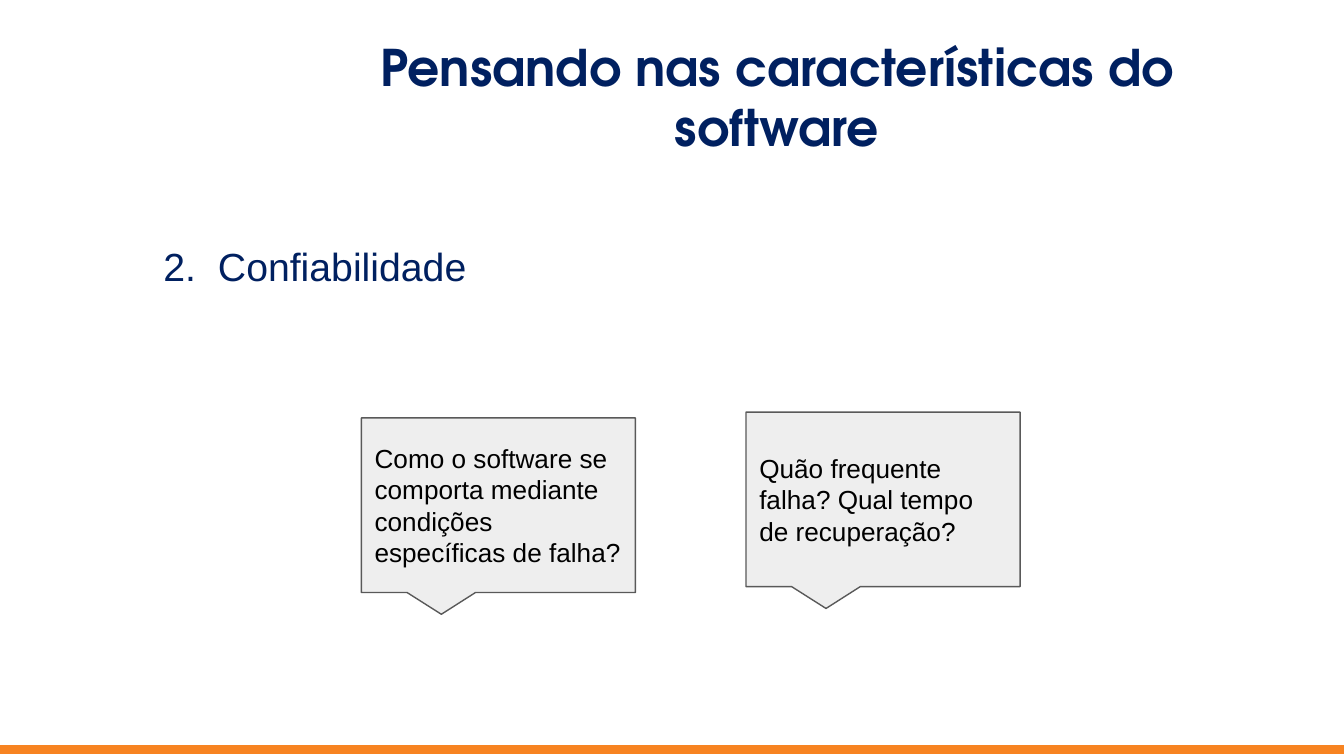
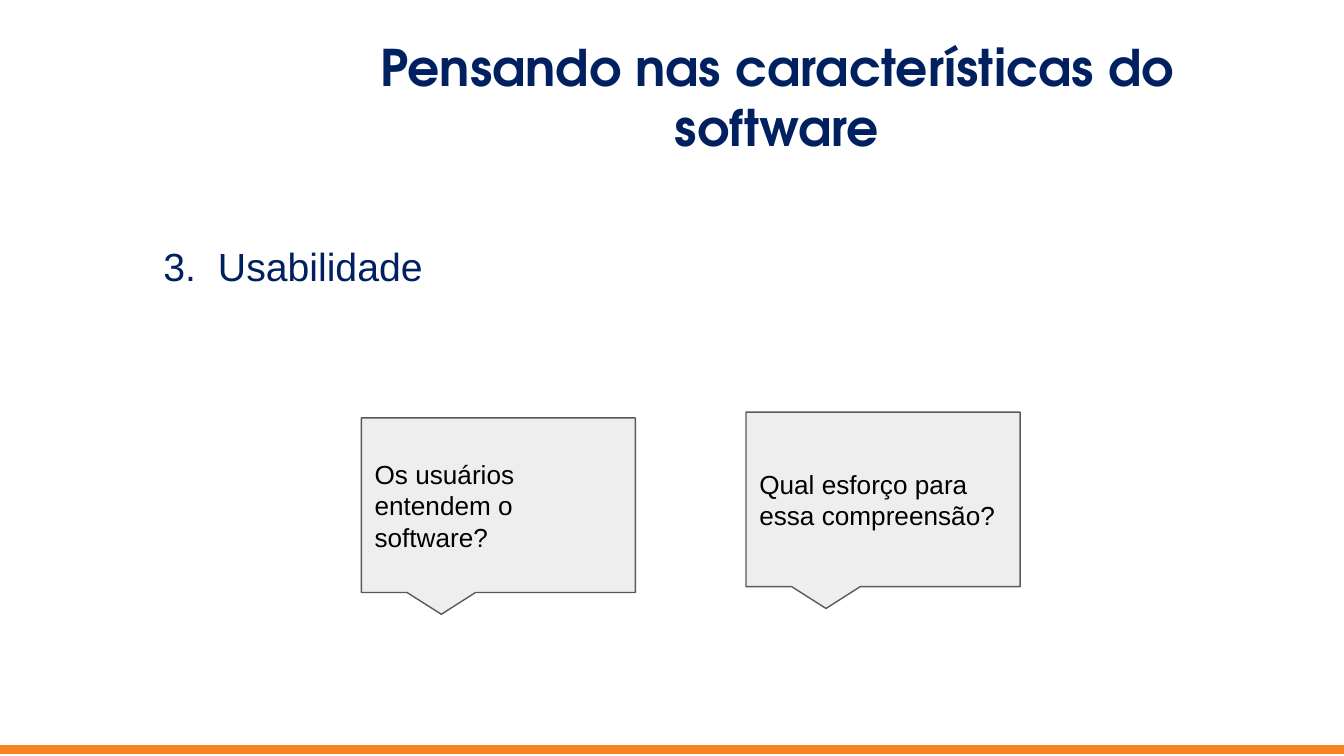
import pptx
import pptx.dml.color
import pptx.enum.shapes
import pptx.enum.text
import pptx.util

Cm = pptx.util.Cm
RGBColor = pptx.dml.color.RGBColor
ANCHOR = pptx.enum.text.MSO_ANCHOR
ALIGN = pptx.enum.text.PP_ALIGN
SHAPE = pptx.enum.shapes.MSO_SHAPE

WHITE = RGBColor(0xFF, 0xFF, 0xFF)
NAVY = RGBColor(0x00, 0x20, 0x60)
ORANGE = RGBColor(0xF7, 0x83, 0x21)
LIGHT_GRAY = RGBColor(0xEE, 0xEE, 0xEE)
DARK_GRAY = RGBColor(0x59, 0x59, 0x59)
BLACK = RGBColor(0x00, 0x00, 0x00)

SLIDE_WIDTH, SLIDE_HEIGHT = Cm(25.4), Cm(14.29)
INSET = Cm(0.25)
NUMBER_INDENT = Cm(1.03)

TITLE = "Pensando nas características do software"
TITLE_FONT = {"name": "TeX Gyre Adventor", "size": pptx.util.Pt(27), "bold": True}
TOPIC_FONT = {"name": "Arial", "size": pptx.util.Pt(21)}
QUESTION_FONT = {"name": "Arial", "size": pptx.util.Pt(14)}

CALLOUT_POSITIONS = [(Cm(6.83), Cm(7.9)), (Cm(14.1), Cm(7.79))]
CALLOUT_SIZE = (Cm(5.18), Cm(3.3))
CALLOUT_TIP = (-0.208, 0.625)

TOPICS = [
    (2, "Confiabilidade", [
        "Como o software se comporta mediante condições específicas de falha?",
        "Quão frequente falha? Qual tempo de recuperação?",
    ]),
    (3, "Usabilidade", [
        "Os usuários entendem o software?",
        "Qual esforço para essa compreensão?",
    ]),
]


def write_text(shape, text, font, color, align=ALIGN.LEFT, anchor=ANCHOR.MIDDLE):
    """Fill the shape with one formatted paragraph and return it."""
    frame_format = {
        "word_wrap": True,
        "vertical_anchor": anchor,
        "margin_left": INSET,
        "margin_top": INSET,
        "margin_right": INSET,
        "margin_bottom": INSET,
    }
    for name, value in frame_format.items():
        setattr(shape.text_frame, name, value)
    paragraph = shape.text_frame.paragraphs[0]
    paragraph.alignment = align
    run = paragraph.add_run()
    run.text = text
    for name, value in font.items():
        setattr(run.font, name, value)
    run.font.color.rgb = color
    return paragraph


def add_filled_shape(slide, kind, left, top, width, height, fill, line):
    shape = slide.shapes.add_shape(kind, left, top, width, height)
    shape.shadow.inherit = False
    shape.fill.solid()
    shape.fill.fore_color.rgb = fill
    shape.line.color.rgb = line
    shape.line.width = pptx.util.Pt(0.75)
    return shape


def add_title(slide):
    box = slide.shapes.add_textbox(Cm(5.82), Cm(0.41), Cm(17.73), Cm(2.82))
    write_text(box, TITLE, TITLE_FONT, NAVY, align=ALIGN.CENTER)


def add_footer_band(slide):
    add_filled_shape(slide, SHAPE.RECTANGLE, 0, Cm(14.1), SLIDE_WIDTH, Cm(0.15),
                     ORANGE, ORANGE)


def add_topic(slide, number, name):
    """Add the numbered topic, its name set off by a hanging indent."""
    box = slide.shapes.add_textbox(Cm(2.84), Cm(4.34), Cm(20.83), Cm(3.12))
    paragraph = write_text(box, f"{number}.\t{name}", TOPIC_FONT, NAVY,
                           anchor=ANCHOR.TOP)
    properties = paragraph._p.get_or_add_pPr()
    properties.set("marL", str(NUMBER_INDENT))
    properties.set("indent", str(-NUMBER_INDENT))


def add_callout(slide, position, question):
    callout = add_filled_shape(slide, SHAPE.RECTANGULAR_CALLOUT, *position,
                               *CALLOUT_SIZE, LIGHT_GRAY, DARK_GRAY)
    for index, value in enumerate(CALLOUT_TIP):
        callout.adjustments[index] = value
    write_text(callout, question, QUESTION_FONT, BLACK)


def add_topic_slide(presentation, number, name, questions):
    slide = presentation.slides.add_slide(presentation.slide_layouts[6])
    slide.background.fill.solid()
    slide.background.fill.fore_color.rgb = WHITE
    add_title(slide)
    add_footer_band(slide)
    add_topic(slide, number, name)
    for position, question in zip(CALLOUT_POSITIONS, questions):
        add_callout(slide, position, question)


def main():
    presentation = pptx.Presentation()
    presentation.slide_width = SLIDE_WIDTH
    presentation.slide_height = SLIDE_HEIGHT
    for number, name, questions in TOPICS:
        add_topic_slide(presentation, number, name, questions)
    presentation.save("out.pptx")


if __name__ == "__main__":
    main()
